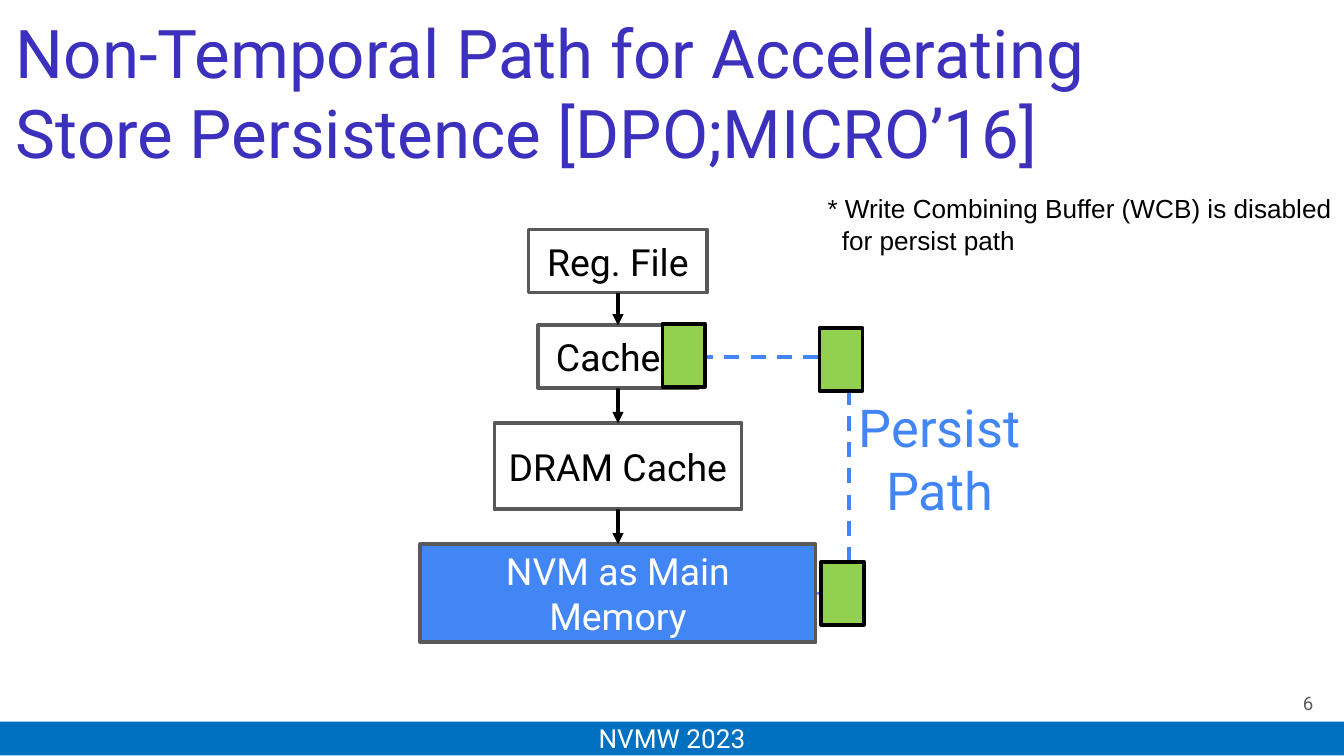
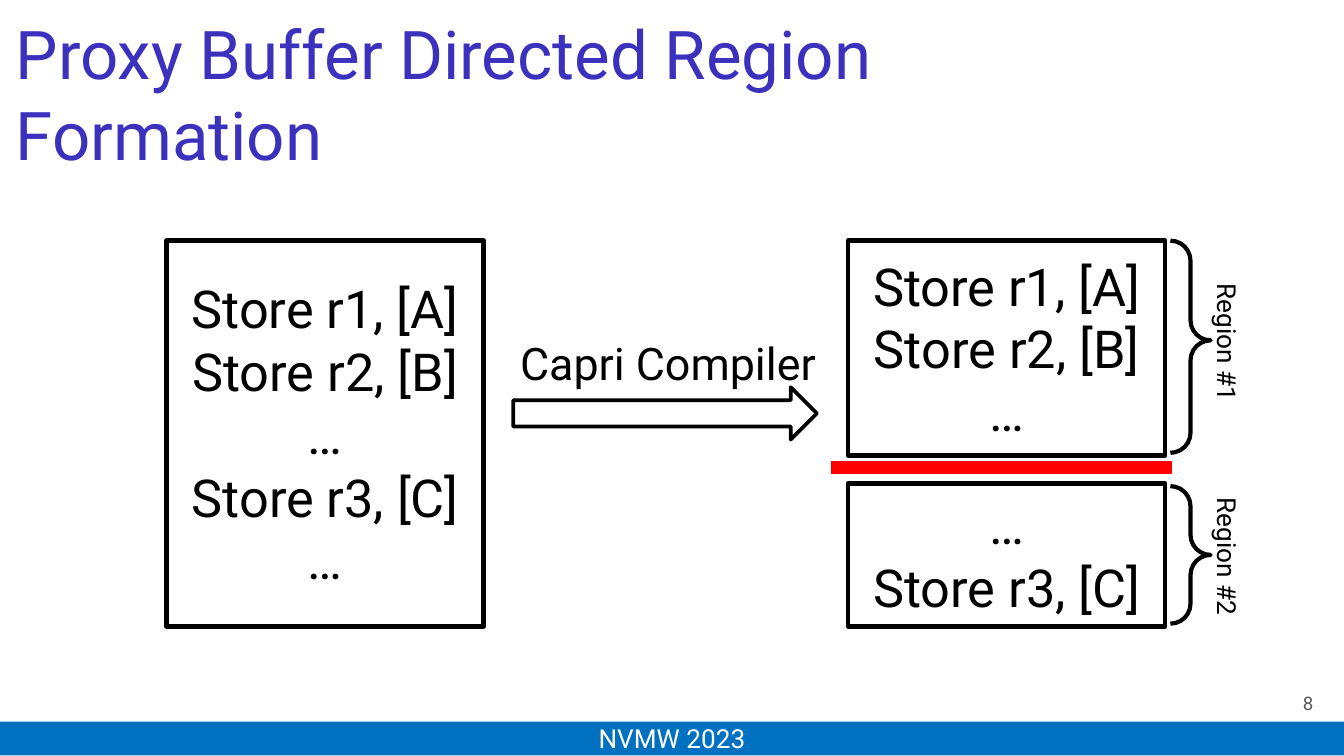
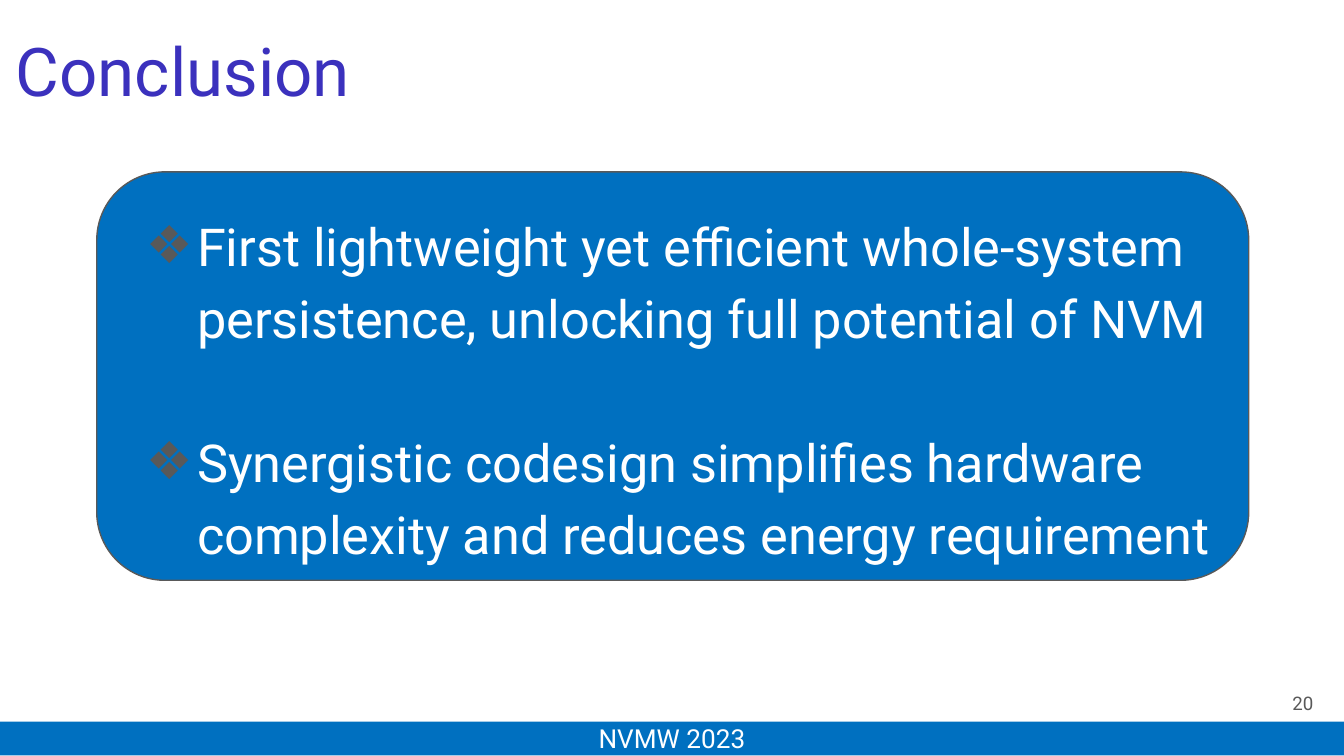
from dataclasses import dataclass

from lxml.etree import SubElement
from pptx import Presentation
from pptx.dml.color import RGBColor as Rgb
from pptx.enum.dml import MSO_LINE
from pptx.enum.shapes import MSO_CONNECTOR as Wire, MSO_SHAPE as Kind
from pptx.enum.text import MSO_ANCHOR as Anchor, MSO_AUTO_SIZE as Auto, PP_ALIGN as Align
from pptx.oxml.ns import qn
from pptx.util import Cm, Pt


@dataclass(frozen=True)
class Theme:
    font: str = "Roboto"
    plain: str = "Arial"
    head: str = "3B31BD"
    band: str = "0070C0"
    sky: str = "4285F4"
    lime: str = "92D050"
    red: str = "FF0000"
    gray: str = "595959"
    black: str = "000000"
    white: str = "FFFFFF"
    title: int = 36
    large: int = 28
    medium: int = 24
    box: int = 20
    small: int = 14
    page: int = 10


T = Theme()
WIDE, HIGH = 25.4, 14.29
PAD = (0.25, 0.25)
FOOT = "NVMW 2023"

# Content: slide 1, the memory stack and its persist path
PATH = dict(
    title=["Non-Temporal Path for Accelerating", "Store Persistence [DPO;MICRO’16]"],
    size=(21.39, 2.9), page="6")
MID = 11.68
STACK = [  # text, top, width, height, fill, ink
    ("Reg. File", 4.34, 3.38, 1.19, None, T.black),
    ("Caches", 6.15, 3.02, 1.19, None, T.black),
    ("DRAM Cache", 8, 4.67, 1.63, None, T.black),
    ("NVM as Main Memory", 10.29, 7.47, 1.85, T.sky, T.white),
]
BEND = 16.05
DATA = [(12.52, 6.12), (15.49, 6.2), (15.52, 10.62)]
NOTE = ["* Write Combining Buffer (WCB) is disabled", "for persist path"]

# Content: slide 2, code before and after the compiler
FORM = dict(
    title=["Proxy Buffer Directed Region", "Formation"], size=(17.22, 2.95), page="8")
TOP, CODE_W, GAP = 4.55, 5.99, 0.53
LEFT, RIGHT = 3.15, 16.03
CODE = ["Store r1, [A]", "Store r2, [B]", "…", "Store r3, [C]", "…"]
PARTS = [  # label, lines, height, label middle, brace inset, brace point
    ("Region #1", CODE[:3], 4.06, 6.48, 0, 0.47),
    ("Region #2", CODE[2:4], 2.7, 10.52, 0.05, 0.5),
]

# Content: slide 3
CLOSE = dict(title=["Conclusion"], size=(19.46, 2.08), page="20")
POINTS = [
    "First lightweight yet efficient whole-system persistence, "
    "unlocking full potential of NVM",
    "Synergistic codesign simplifies hardware complexity and reduces "
    "energy requirement",
]


# Helpers
def write(shape, text, size=T.box, ink=T.black, font=T.font, align=Align.CENTER,
          anchor=Anchor.MIDDLE, pad=(0.25, 0.13), wrap=True):
    frame = shape.text_frame
    frame.auto_size = Auto.NONE
    frame.word_wrap = wrap
    frame.vertical_anchor = anchor
    frame.margin_left = frame.margin_right = Cm(pad[0])
    frame.margin_top = frame.margin_bottom = Cm(pad[1])
    lines = [text] if isinstance(text, str) else text
    for i, line in enumerate(lines):
        para = frame.paragraphs[0] if i == 0 else frame.add_paragraph()
        para.alignment = align
        run = para.add_run()
        run.text = line
        run.font.name = font
        run.font.size = Pt(size)
        run.font.color.rgb = Rgb.from_string(ink)
    return frame.paragraphs


def place(shape, x, y, w, h):
    shape.left, shape.top, shape.width, shape.height = map(Cm, (x, y, w, h))


def paint(shape, fill=None, line=None, width=2):
    if fill:
        shape.fill.solid()
        shape.fill.fore_color.rgb = Rgb.from_string(fill)
    else:
        shape.fill.background()
    if line:
        shape.line.color.rgb = Rgb.from_string(line)
        shape.line.width = Pt(width)
    else:
        shape.line.fill.background()


def draw(slide, kind, x, y, w, h, **look):
    shape = slide.shapes.add_shape(kind, *map(Cm, (x, y, w, h)))
    shape.shadow.inherit = False
    paint(shape, **look)
    return shape


def label(slide, text, x, y, w, h, **form):
    box = slide.shapes.add_textbox(*map(Cm, (x, y, w, h)))
    return box, write(box, text, **form)


def link(slide, x1, y1, x2, y2, kind=Wire.STRAIGHT, ink=T.black, width=2,
         dash=None, arrow=True):
    wire = slide.shapes.add_connector(kind, *map(Cm, (x1, y1, x2, y2)))
    wire.line.color.rgb = Rgb.from_string(ink)
    wire.line.width = Pt(width)
    if dash:
        wire.line.dash_style = dash
    prop = wire._element.spPr
    if arrow:
        SubElement(prop.find(qn("a:ln")), qn("a:tailEnd"), type="triangle")
    SubElement(prop, qn("a:effectLst"))
    return wire


def start(deck, title, size, page, layout=5):
    slide = deck.slides.add_slide(deck.slide_layouts[layout])
    head = slide.shapes.title
    place(head, 0.05, 0.28, *size)
    write(head, title, size=T.title, ink=T.head, align=Align.LEFT)
    band = draw(slide, Kind.RECTANGLE, 0, 13.64, WIDE, 0.64, fill=T.band)
    write(band, FOOT, size=T.small, ink=T.white)
    label(slide, page, 23.55, 12.75, 1.52, 1.09, size=T.page, ink=T.gray,
          align=Align.RIGHT, pad=PAD)
    return slide


# Slides
def path_slide(deck):
    slide = start(deck, **PATH)

    # Persist path, behind the boxes
    _, y1, w1, h1, *_ = STACK[1]
    _, y2, w2, h2, *_ = STACK[-1]
    x1, x2 = MID + w1 / 2, MID + w2 / 2
    wire = link(slide, x1, y1 + h1 / 2, x2, y2 + h2 / 2, kind=Wire.ELBOW,
                ink=T.sky, dash=MSO_LINE.DASH)
    turn = round((BEND - x1) / (x2 - x1) * 100000)
    geom = wire._element.spPr.find(qn("a:prstGeom"))
    SubElement(geom.get_or_add_avLst(), qn("a:gd"), name="adj1", fmla=f"val {turn}")

    # Stack of memory levels
    boxes = []
    for text, y, w, h, fill, ink in STACK:
        box = draw(slide, Kind.RECTANGLE, MID - w / 2, y, w, h, fill=fill, line=T.gray)
        write(box, text, ink=ink, pad=PAD)
        boxes.append(box)
    for up, down in zip(boxes, boxes[1:]):
        wire = link(slide, 0, 0, 1, 1)
        wire.begin_connect(up, 2)
        wire.end_connect(down, 0)

    # Data blocks and notes
    label(slide, ["Persist", "Path"], 15.98, 7.34, 3.56, 2.64, size=T.large,
          ink=T.sky, anchor=Anchor.TOP)
    for x, y in DATA:
        draw(slide, Kind.RECTANGLE, x, y, 0.81, 1.19, fill=T.lime, line=T.black)
    _, paras = label(slide, NOTE, 15.39, 3.51, 10.11, 1.45, size=T.small,
                     font=T.plain, align=Align.LEFT, anchor=Anchor.TOP, wrap=False)
    paras[1]._p.get_or_add_pPr().set("marL", str(Cm(0.27)))


def form_slide(deck):
    slide = start(deck, **FORM)

    def code(lines, x, y, h):
        box = draw(slide, Kind.RECTANGLE, x, y, CODE_W, h, fill=T.white,
                   line=T.black, width=2.5)
        write(box, lines, size=T.large)

    # Code before, and regions after
    code(CODE, LEFT, TOP, sum(part[2] for part in PARTS) + GAP)
    y = TOP
    for name, lines, h, mid, inset, point in PARTS:
        code(lines, RIGHT, y, h)
        brace = draw(slide, Kind.RIGHT_BRACE, 22.12, y + inset, 0.76,
                     h - 0.05 - inset, line=T.black, width=2.25)
        brace.adjustments[0], brace.adjustments[1] = 0.5, point
        tag, _ = label(slide, name, 21.51, mid - 0.56, 3.35, 1.12, size=T.small,
                       anchor=Anchor.TOP, pad=PAD)
        tag.rotation = 90
        y += h + GAP

    # Region border and compiler arrow
    link(slide, 15.7, 8.84, 22.15, 8.84, ink=T.red, width=6.75, arrow=False)
    draw(slide, Kind.RIGHT_ARROW, 9.7, 7.32, 5.74, 0.99, fill=T.white, line=T.black)
    label(slide, "Capri Compiler", 9.58, 6.22, 6.22, 1.27, size=T.medium,
          align=Align.LEFT, anchor=Anchor.TOP, wrap=False)


def close_slide(deck):
    slide = start(deck, **CLOSE, layout=1)
    body = slide.placeholders[1]
    place(body, 1.83, 3.25, 21.77, 7.72)
    prop = body._element.spPr
    geom = SubElement(prop, qn("a:prstGeom"), prst="roundRect")
    SubElement(geom, qn("a:avLst"))
    paint(body, fill=T.band, line=T.gray, width=0.75)
    paras = write(body, POINTS, size=T.large, ink=T.white, align=Align.LEFT,
                  anchor=Anchor.TOP, pad=PAD)
    for i, para in enumerate(paras):
        para.line_spacing = 1.15
        para.space_before = Pt(38.5 if i else 0)
        form = para._p.get_or_add_pPr()
        form.set("marL", str(Cm(1.27)))
        form.set("indent", str(Cm(-0.97)))
        SubElement(SubElement(form, qn("a:buClr")), qn("a:srgbClr"), val=T.gray)
        SubElement(form, qn("a:buChar"), char="❖")


def main():
    deck = Presentation()
    deck.slide_width, deck.slide_height = Cm(WIDE), Cm(HIGH)
    for build in (path_slide, form_slide, close_slide):
        build(deck)
    deck.save("out.pptx")


if __name__ == "__main__":
    main()
